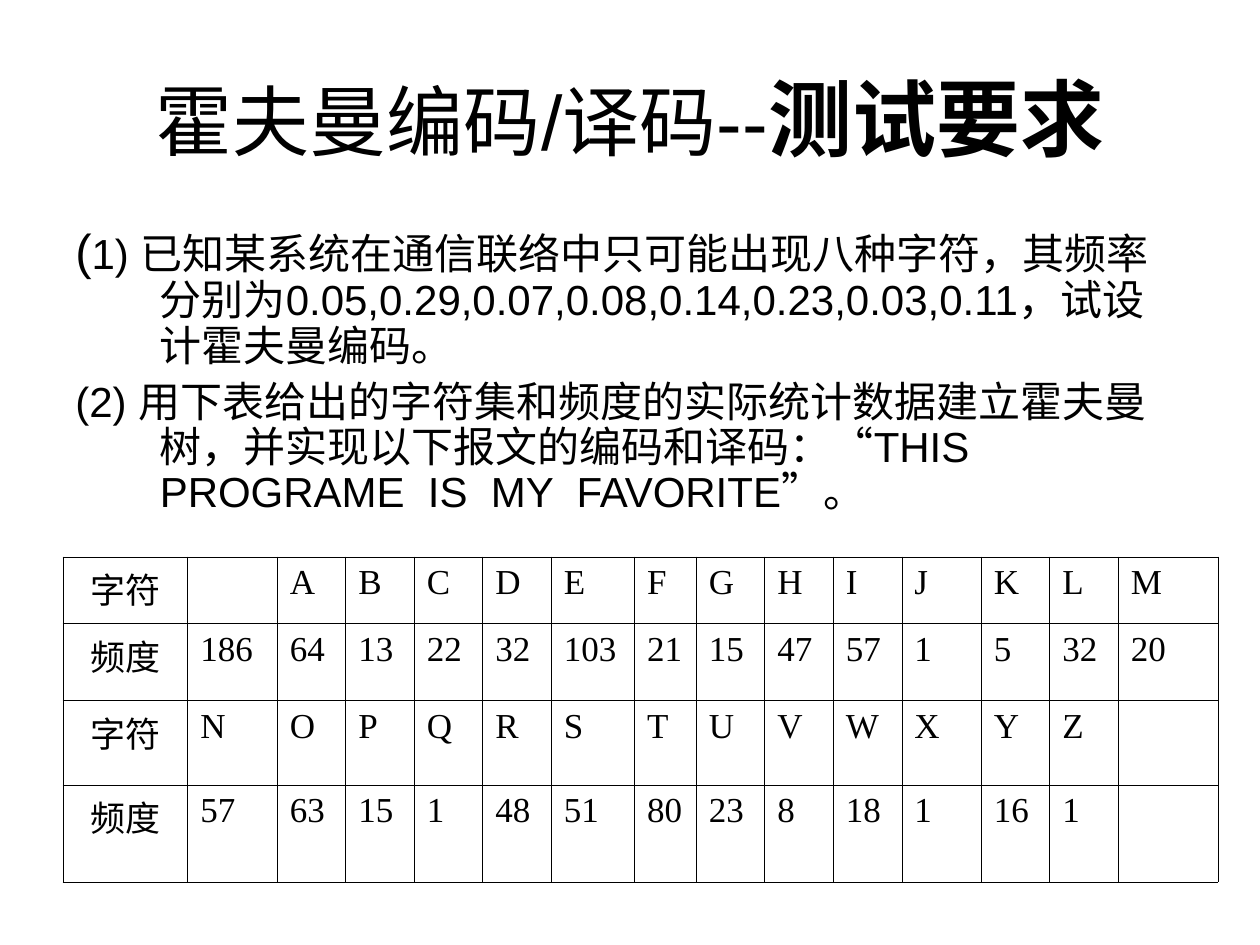
from lxml.etree import SubElement
from pptx import Presentation
from pptx.dml.color import RGBColor
from pptx.enum.text import MSO_ANCHOR, MSO_AUTO_SIZE, PP_ALIGN
from pptx.oxml.ns import qn
from pptx.util import Inches, Pt

COLORS = {"text": "000000", "line": "000000", "back": "FFFFFF"}
BODY_FONT, TABLE_FONT = "Arial", "Times New Roman"

QUESTIONS = [
    [("(", 28), ("1) 已知某系统在通信联络中只可能出现八种字符，其频率分别为"
                 "0.05,0.29,0.07,0.08,0.14,0.23,0.03,0.11，试设计霍夫曼编码。", 24)],
    [("(2) 用下表给出的字符集和频度的实际统计数据建立霍夫曼树，"
      "并实现以下报文的编码和译码：“THIS PROGRAME  IS  MY  FAVORITE”。", 24)],
]

# Characters and their frequencies
ROWS = [
    ["字符", "", *"ABCDEFGHIJKLM"],
    ["频度", 186, 64, 13, 22, 32, 103, 21, 15, 47, 57, 1, 5, 32, 20],
    ["字符", *"NOPQRSTUVWXYZ", ""],
    ["频度", 57, 63, 15, 1, 48, 51, 80, 23, 8, 18, 1, 16, 1, ""],
]
TABLE_WIDTH = 9.17
ROW_HEIGHTS = [0.53, 0.61, 0.67, 0.77]
SPECIAL_WIDTHS = {0: 0.99, 1: 0.71, 6: 0.66, 7: 0.49, 11: 0.63, 14: 0.79}


def add_run(p, text, size, font=BODY_FONT, bold=False):
    r = p.add_run()
    r.text = text
    r.font.size = Pt(size)
    r.font.name = font
    r.font.bold = bold
    r.font.color.rgb = RGBColor.from_string(COLORS["text"])


def add_title(slide):
    sp = slide.shapes.title
    sp.left, sp.top = Inches(0.5), Inches(0.3)
    sp.width, sp.height = Inches(9), Inches(1.25)
    tf = sp.text_frame
    tf.auto_size = MSO_AUTO_SIZE.NONE
    tf.vertical_anchor = MSO_ANCHOR.MIDDLE
    p = tf.paragraphs[0]
    p.alignment = PP_ALIGN.CENTER
    add_run(p, "霍夫曼编码/译码--", 44)
    add_run(p, "测试要求", 48, bold=True)


def add_questions(slide):
    sp = slide.shapes.add_textbox(Inches(0.5), Inches(1.75), Inches(9), Inches(4.95))
    tf = sp.text_frame
    tf.word_wrap = True
    for i, runs in enumerate(QUESTIONS):
        p = tf.add_paragraph() if i else tf.paragraphs[0]
        p.line_spacing = 0.9
        p.space_before = Pt(6)
        # Hanging indent
        pPr = p._p.get_or_add_pPr()
        pPr.set("marL", str(Inches(0.67)))
        pPr.set("indent", str(-Inches(0.67)))
        for text, size in runs:
            add_run(p, text, size)


def set_borders(cell, width=0.45):
    tcPr = cell._tc.get_or_add_tcPr()
    for side in ("a:lnL", "a:lnR", "a:lnT", "a:lnB"):
        ln = SubElement(tcPr, qn(side), w=str(Pt(width)))
        fill = SubElement(ln, qn("a:solidFill"))
        SubElement(fill, qn("a:srgbClr"), val=COLORS["line"])


def fill_cell(cell, value, centered):
    # Borders come before the fill in the cell properties
    set_borders(cell)
    cell.fill.background()
    p = cell.text_frame.paragraphs[0]
    p.alignment = PP_ALIGN.CENTER if centered else PP_ALIGN.LEFT
    if value != "":
        add_run(p, str(value), 20, TABLE_FONT)


def add_frequency_table(slide):
    n_cols = len(ROWS[0])
    frame = slide.shapes.add_table(len(ROWS), n_cols, Inches(0.5), Inches(4.42),
                                   Inches(TABLE_WIDTH), Inches(sum(ROW_HEIGHTS)))
    table = frame.table
    table.first_row = table.horz_banding = False

    # Ordinary columns share what the special ones leave
    rest = TABLE_WIDTH - sum(SPECIAL_WIDTHS.values())
    common = rest / (n_cols - len(SPECIAL_WIDTHS))
    for i, col in enumerate(table.columns):
        col.width = Inches(SPECIAL_WIDTHS.get(i, common))

    for row, height, values in zip(table.rows, ROW_HEIGHTS, ROWS):
        row.height = Inches(height)
        for i, (cell, value) in enumerate(zip(row.cells, values)):
            fill_cell(cell, value, centered=i == 0)


def main():
    prs = Presentation()
    prs.slide_width, prs.slide_height = Inches(10), Inches(7.5)
    slide = prs.slides.add_slide(prs.slide_layouts[5])
    bg = slide.background.fill
    bg.solid()
    bg.fore_color.rgb = RGBColor.from_string(COLORS["back"])
    add_title(slide)
    add_questions(slide)
    add_frequency_table(slide)
    prs.save("out.pptx")


if __name__ == "__main__":
    main()
